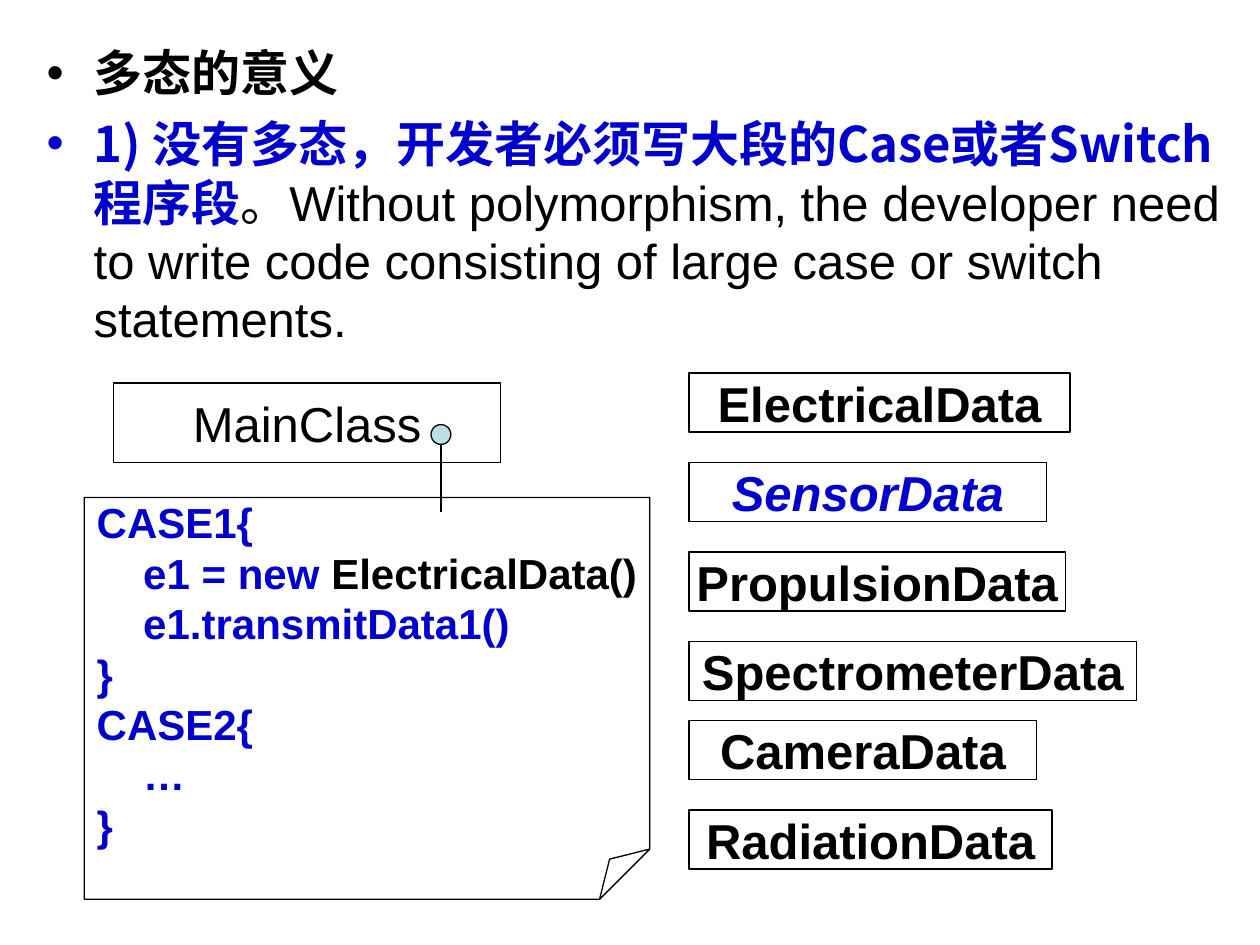
from lxml.etree import SubElement
from pptx import Presentation
from pptx.dml.color import RGBColor
from pptx.enum.shapes import MSO_CONNECTOR, MSO_SHAPE
from pptx.enum.text import MSO_ANCHOR, PP_ALIGN
from pptx.oxml.ns import qn
from pptx.util import Cm, Pt

BLACK = RGBColor(0x00, 0x00, 0x00)
BLUE = RGBColor(0x00, 0x00, 0xCC)
WHITE = RGBColor(0xFF, 0xFF, 0xFF)
PALE_TEAL = RGBColor(0xBB, 0xE0, 0xE3)
LATIN_FONT = "Arial"
CHINESE_FONT = "Noto Sans CJK SC"
LINE_WIDTH = Pt(0.75)

CODE_LINES = [
    [("CASE1{", BLUE)],
    [("    e1 = new ", BLUE), ("ElectricalData()", BLACK)],
    [("    e1.transmitData1()", BLUE)],
    [("}", BLUE)],
    [("CASE2{", BLUE)],
    [("    …", BLUE)],
    [("}", BLUE)],
]

DATA_CLASSES = [
    ("ElectricalData", 0, 7.68),
    ("SensorData", 1.8, 7.21),
    ("PropulsionData", 3.61, 7.59),
    ("SpectrometerData", 5.41, 9.02),
    ("CameraData", 7.01, 7.01),
    ("RadiationData", 8.81, 7.32),
]


def add_text(paragraph, text, size=28, font=LATIN_FONT, color=BLACK, bold=False, italic=False):
    """Append a formatted run to a paragraph."""
    run = paragraph.add_run()
    run.text = text
    run.font.size = Pt(size)
    run.font.name = font
    run.font.color.rgb = color
    run.font.bold = bold
    run.font.italic = italic
    SubElement(run.font._element, qn("a:ea"), typeface=font)


def add_bullet(paragraph, color):
    """Give a paragraph a hanging round bullet."""
    properties = paragraph._p.get_or_add_pPr()
    properties.set("marL", str(Cm(0.95)))
    properties.set("indent", str(-Cm(0.95)))
    bullet_color = SubElement(properties, qn("a:buClr"))
    SubElement(bullet_color, qn("a:srgbClr"), val=str(color))
    SubElement(properties, qn("a:buFont"), typeface=LATIN_FONT)
    SubElement(properties, qn("a:buChar"), char="•")


def add_outlined_shape(slide, kind, left, top, width, height, fill=None):
    """Add a thin black outlined shape, hollow unless a fill is given."""
    shape = slide.shapes.add_shape(kind, Cm(left), Cm(top), Cm(width), Cm(height))
    shape.shadow.inherit = False
    if fill is None:
        shape.fill.background()
    else:
        shape.fill.solid()
        shape.fill.fore_color.rgb = fill
    shape.line.color.rgb = BLACK
    shape.line.width = LINE_WIDTH
    shape.text_frame.word_wrap = False
    shape.text_frame.vertical_anchor = MSO_ANCHOR.MIDDLE
    return shape


def add_class_box(slide, name, left, top, width, height, fill=None, **text_format):
    """Draw a class box with its centred name."""
    shape = add_outlined_shape(slide, MSO_SHAPE.RECTANGLE, left, top, width, height, fill)
    paragraph = shape.text_frame.paragraphs[0]
    paragraph.alignment = PP_ALIGN.CENTER
    add_text(paragraph, name, **text_format)


def add_introduction(slide, left, top, width, height):
    """Write the two bulleted paragraphs on polymorphism."""
    frame = slide.shapes.add_textbox(Cm(left), Cm(top), Cm(width), Cm(height)).text_frame
    frame.word_wrap = True
    heading = frame.paragraphs[0]
    point = frame.add_paragraph()
    for paragraph, color in ((heading, BLACK), (point, BLUE)):
        paragraph.line_spacing = Pt(33.4)
        add_bullet(paragraph, color)
    point.space_before = Pt(7)
    add_text(heading, "多态的意义", font=CHINESE_FONT, bold=True)
    add_text(point, "1) 没有多态，开发者必须写大段的Case或者Switch程序段",
             font=CHINESE_FONT, color=BLUE, bold=True)
    add_text(point, "。", font=CHINESE_FONT)
    add_text(point, "Without polymorphism, the developer need to write code "
                    "consisting of large case or switch statements.")


def add_code_note(slide, left, top, width, height):
    """Draw the folded note holding the case code."""
    note = add_outlined_shape(slide, MSO_SHAPE.FOLDED_CORNER, left, top, width, height)
    geometry = note._element.spPr.find(qn("a:prstGeom"))
    SubElement(geometry.find(qn("a:avLst")), qn("a:gd"), name="adj", fmla="val 12500")
    frame = note.text_frame
    for index, line in enumerate(CODE_LINES):
        paragraph = frame.add_paragraph() if index else frame.paragraphs[0]
        paragraph.alignment = PP_ALIGN.LEFT
        for text, color in line:
            add_text(paragraph, text, size=24, color=color, bold=True)


def add_note_anchor(slide, left, top, diameter, length):
    """Draw the line that ties the note to the class, with its round end."""
    center = left + diameter / 2
    line_top = top + diameter - 0.05
    line = slide.shapes.add_connector(
        MSO_CONNECTOR.STRAIGHT, Cm(center), Cm(line_top), Cm(center), Cm(line_top + length))
    line.line.color.rgb = BLACK
    line.line.width = LINE_WIDTH
    SubElement(line._element.spPr, qn("a:effectLst"))
    add_outlined_shape(slide, MSO_SHAPE.OVAL, left, top, diameter, diameter, PALE_TEAL)


def add_data_classes(slide, left, top, box_height):
    """Stack the data class boxes along one left edge."""
    for name, offset, width in DATA_CLASSES:
        is_sensor = name == "SensorData"
        add_class_box(slide, name, left, top + offset, width, box_height, WHITE,
                      color=BLUE if is_sensor else BLACK, bold=True, italic=is_sensor)


def main():
    """Build the slide and save it."""
    presentation = Presentation()
    presentation.slide_width = Cm(25.4)
    presentation.slide_height = Cm(19.05)
    slide = presentation.slides.add_slide(presentation.slide_layouts[6])
    add_introduction(slide, 0.69, 0.75, 24.2, 6.8)
    add_class_box(slide, "MainClass", 2.29, 7.72, 7.8, 1.6)
    add_code_note(slide, 1.7, 10.03, 11.4, 8.1)
    add_note_anchor(slide, 8.69, 8.56, 0.4, 1.42)
    add_data_classes(slide, 13.89, 7.52, 1.19)
    presentation.save("out.pptx")


if __name__ == "__main__":
    main()
